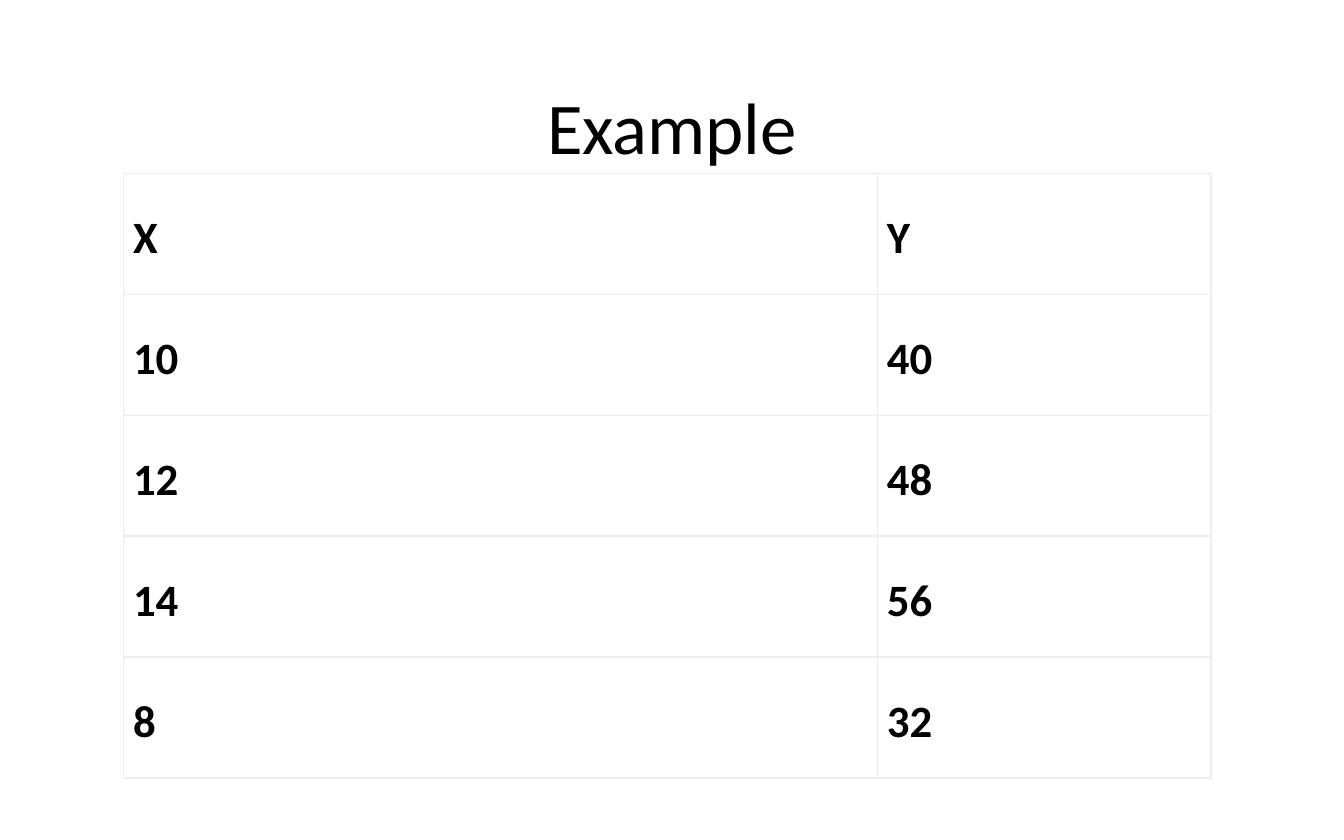
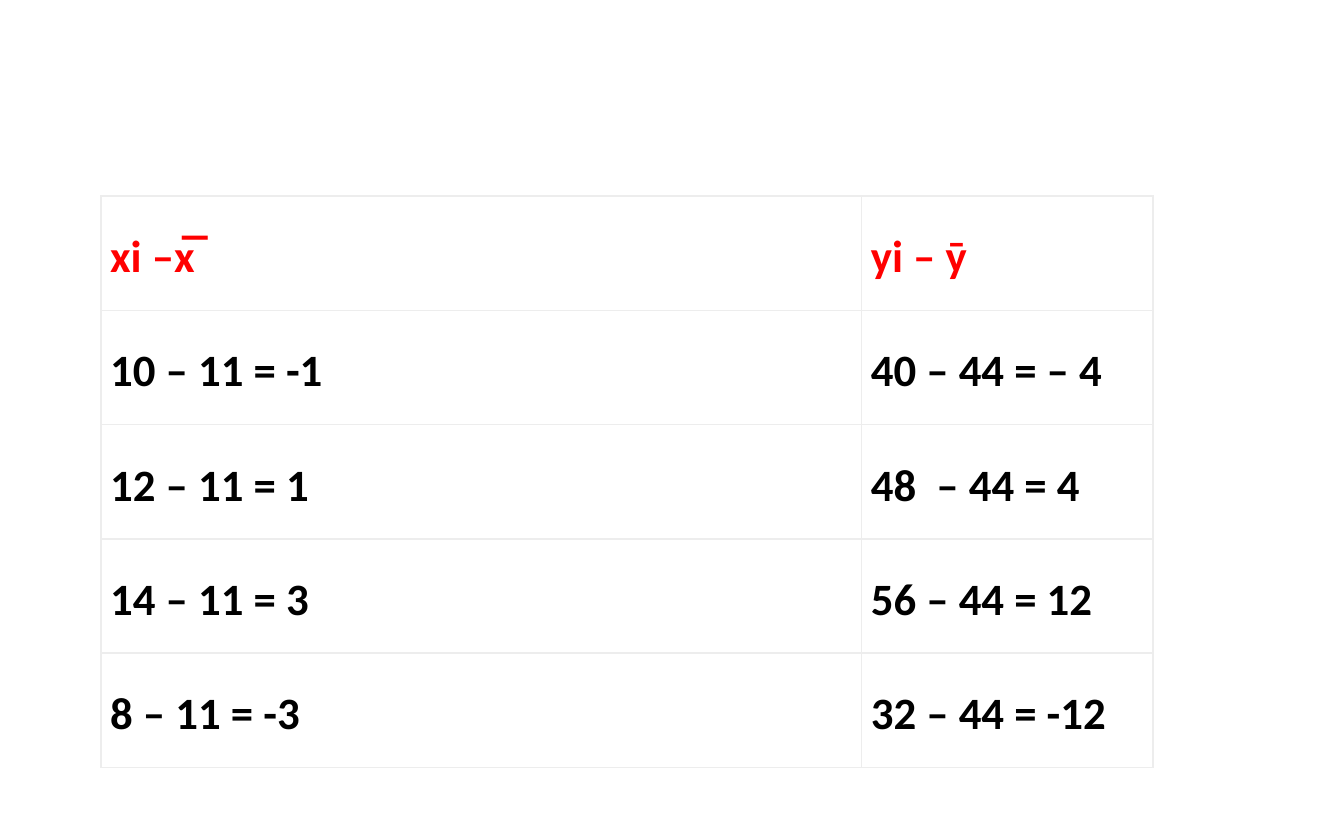
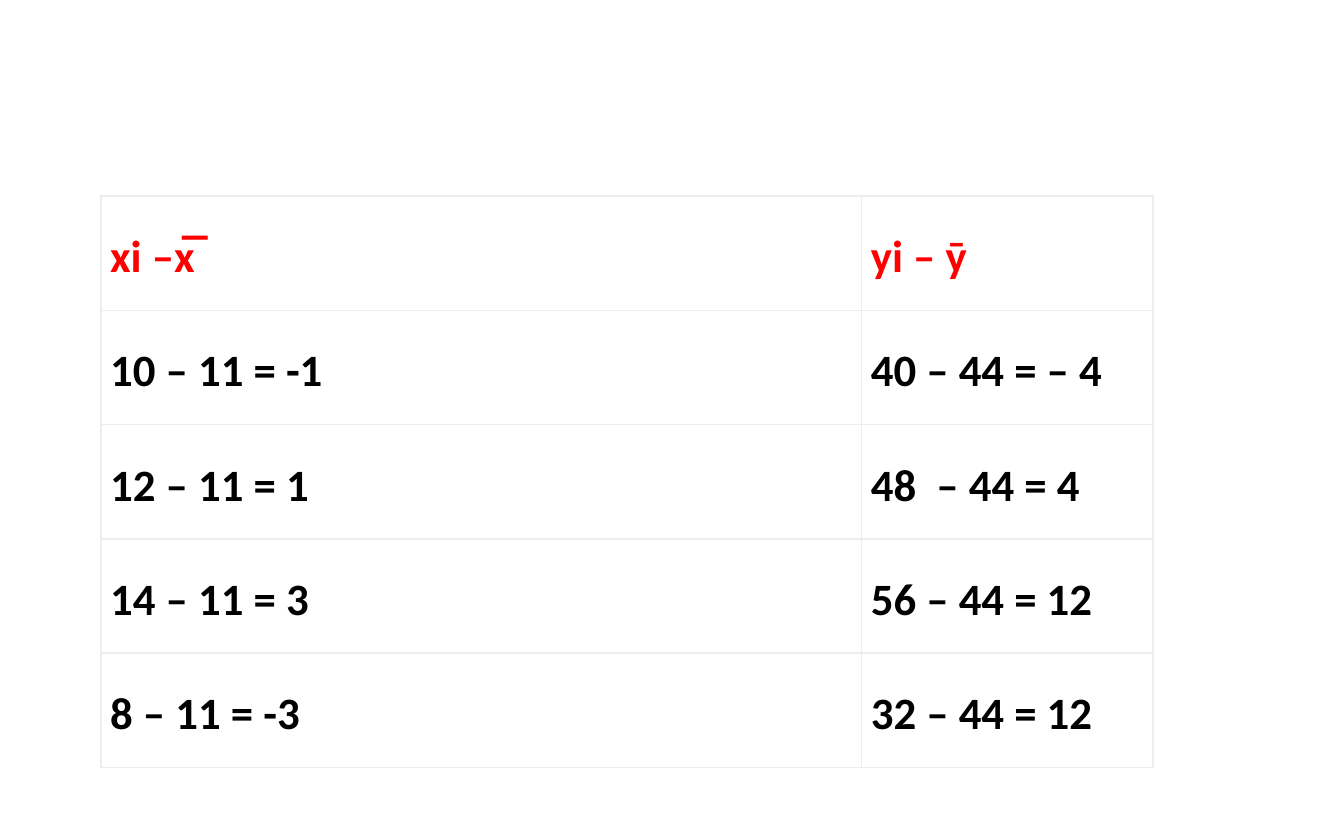
"""Build three slides that work through an example of deviations from the mean."""
from dataclasses import dataclass

from lxml.etree import SubElement
from pptx import Presentation
from pptx.dml.color import RGBColor
from pptx.enum.text import MSO_ANCHOR, PP_ALIGN
from pptx.oxml.ns import qn
from pptx.slide import Slide
from pptx.table import _Cell
from pptx.util import Inches, Pt

BLACK = RGBColor(0x00, 0x00, 0x00)
RED = RGBColor(0xFF, 0x00, 0x00)
GRID_GREY = RGBColor(0xED, 0xED, 0xED)
FONT = "Calibri"
TITLE_ONLY, BLANK = 5, 6

TITLE_FORMAT = {
    "left": Inches(0.69),
    "top": Inches(0.33),
    "width": Inches(8.62),
    "height": Inches(1.21),
}
TITLE_FRAME_FORMAT = {
    "margin_left": Inches(0.09),
    "margin_right": Inches(0.09),
    "margin_top": Inches(0.04),
    "margin_bottom": Inches(0.04),
    "vertical_anchor": MSO_ANCHOR.MIDDLE,
    "word_wrap": True,
}
CELL_FORMAT = {
    "margin_left": Inches(0.07),
    "margin_right": Inches(0.07),
    "margin_top": Inches(0.02),
    "margin_bottom": Inches(0.02),
    "vertical_anchor": MSO_ANCHOR.MIDDLE,
}
TITLE_FONT = {"name": FONT, "size": Pt(39), "bold": False}
CELL_FONT = {"name": FONT, "size": Pt(24), "bold": True}


@dataclass(frozen=True)
class TableLayout:
    """Place, column widths, row height and header colour of a table, in inches."""

    left: float
    top: float
    column_widths: tuple[float, ...]
    row_height: float
    header_color: RGBColor


OBSERVATION_LAYOUT = TableLayout(0.92, 1.29, (5.61, 2.48), 0.9, BLACK)
DEVIATION_LAYOUT = TableLayout(0.75, 1.46, (5.66, 2.17), 0.85, RED)

OBSERVATIONS = [("X", "Y"), ("10", "40"), ("12", "48"), ("14", "56"), ("8", "32")]
DEVIATIONS = [
    ("xi –x̅", "yi – ȳ"),
    ("10 – 11 = -1", "40 – 44 = – 4"),
    ("12 – 11 = 1", "48  – 44 = 4"),
    ("14 – 11 = 3", "56 – 44 = 12"),
]
LAST_DEVIATIONS = [("8 – 11 = -3", "32 – 44 = -12"), ("8 – 11 = -3", "32 – 44 = 12")]


def apply_format(target: object, values: dict) -> None:
    """Set each named attribute of the target."""
    for name, value in values.items():
        setattr(target, name, value)


def add_title(slide: Slide, text: str) -> None:
    """Place and format the title of a slide."""
    title = slide.shapes.title
    apply_format(title, TITLE_FORMAT)
    apply_format(title.text_frame, TITLE_FRAME_FORMAT)
    title.text_frame.text = text
    heading = title.text_frame.paragraphs[0]
    heading.alignment = PP_ALIGN.CENTER
    apply_format(heading.font, TITLE_FONT)
    heading.font.color.rgb = BLACK


def add_borders(cell: _Cell) -> None:
    """Draw a thin grey line on every side of a cell."""
    properties = cell._tc.get_or_add_tcPr()
    for side in ("a:lnL", "a:lnR", "a:lnT", "a:lnB"):
        border = SubElement(properties, qn(side), w=str(Pt(1)))
        fill = SubElement(border, qn("a:solidFill"))
        SubElement(fill, qn("a:srgbClr"), val=str(GRID_GREY))


def fill_cell(cell: _Cell, text: str, color: RGBColor) -> None:
    """Write and format one cell."""
    apply_format(cell, CELL_FORMAT)
    add_borders(cell)
    cell.fill.background()
    cell.text = text
    entry = cell.text_frame.paragraphs[0]
    entry.line_spacing = 1.15
    apply_format(entry.font, CELL_FONT)
    entry.font.color.rgb = color


def add_data_table(slide: Slide, layout: TableLayout, rows: list[tuple[str, ...]]) -> None:
    """Add a table whose first row takes the header colour."""
    table = slide.shapes.add_table(
        len(rows),
        len(layout.column_widths),
        Inches(layout.left),
        Inches(layout.top),
        Inches(sum(layout.column_widths)),
        Inches(layout.row_height * len(rows)),
    ).table
    apply_format(table, {"first_row": False, "horz_banding": False})
    for column, width in zip(table.columns, layout.column_widths):
        column.width = Inches(width)
    for row_index, row in enumerate(rows):
        table.rows[row_index].height = Inches(layout.row_height)
        color = BLACK if row_index else layout.header_color
        for column_index, text in enumerate(row):
            fill_cell(table.cell(row_index, column_index), text, color)


def main() -> None:
    """Build the slides and save them."""
    deck = Presentation()
    deck.slide_width, deck.slide_height = Inches(10), Inches(6.25)

    example = deck.slides.add_slide(deck.slide_layouts[TITLE_ONLY])
    add_title(example, "Example")
    add_data_table(example, OBSERVATION_LAYOUT, OBSERVATIONS)

    for last_row in LAST_DEVIATIONS:
        slide = deck.slides.add_slide(deck.slide_layouts[BLANK])
        add_data_table(slide, DEVIATION_LAYOUT, [*DEVIATIONS, last_row])

    deck.save("out.pptx")


if __name__ == "__main__":
    main()
